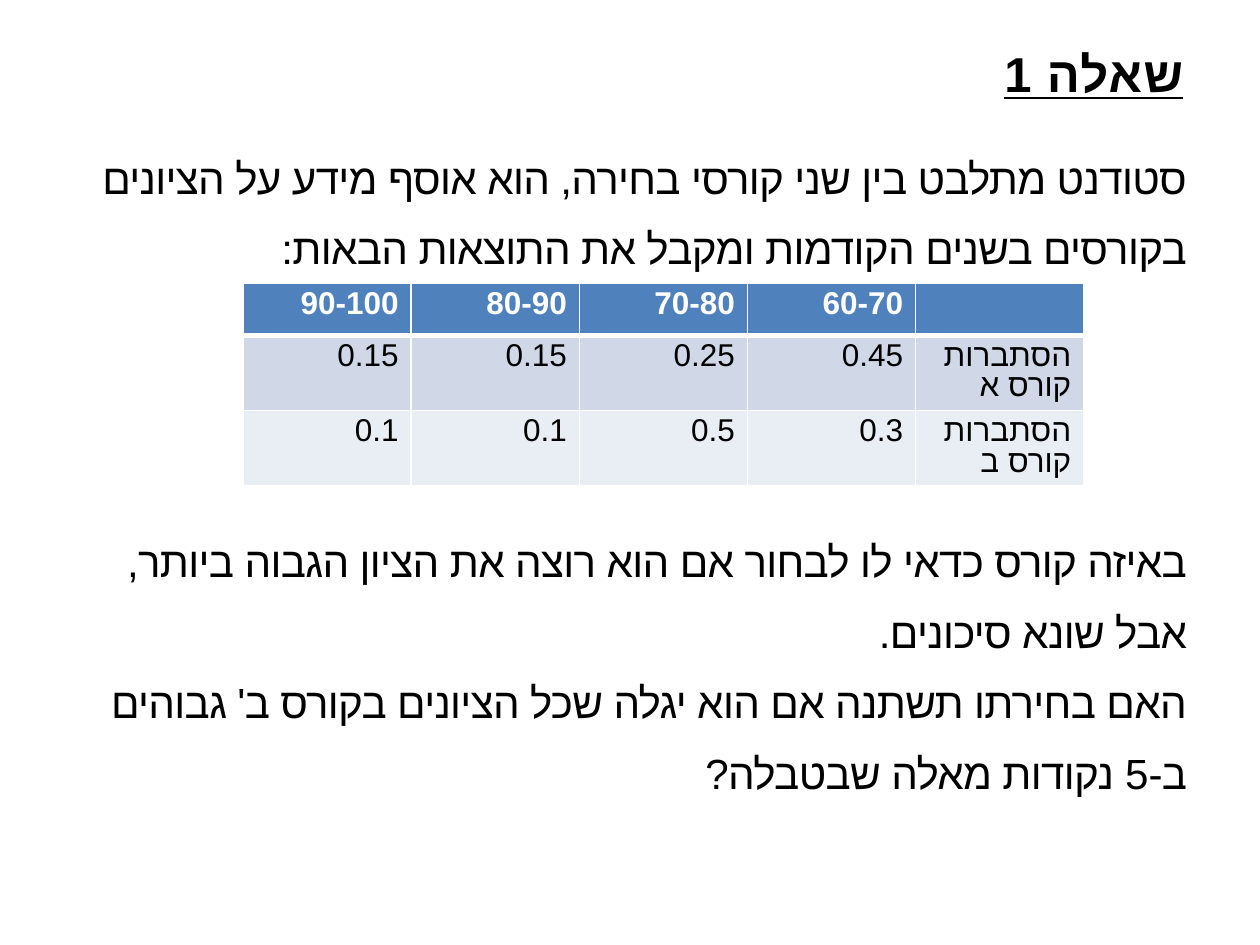
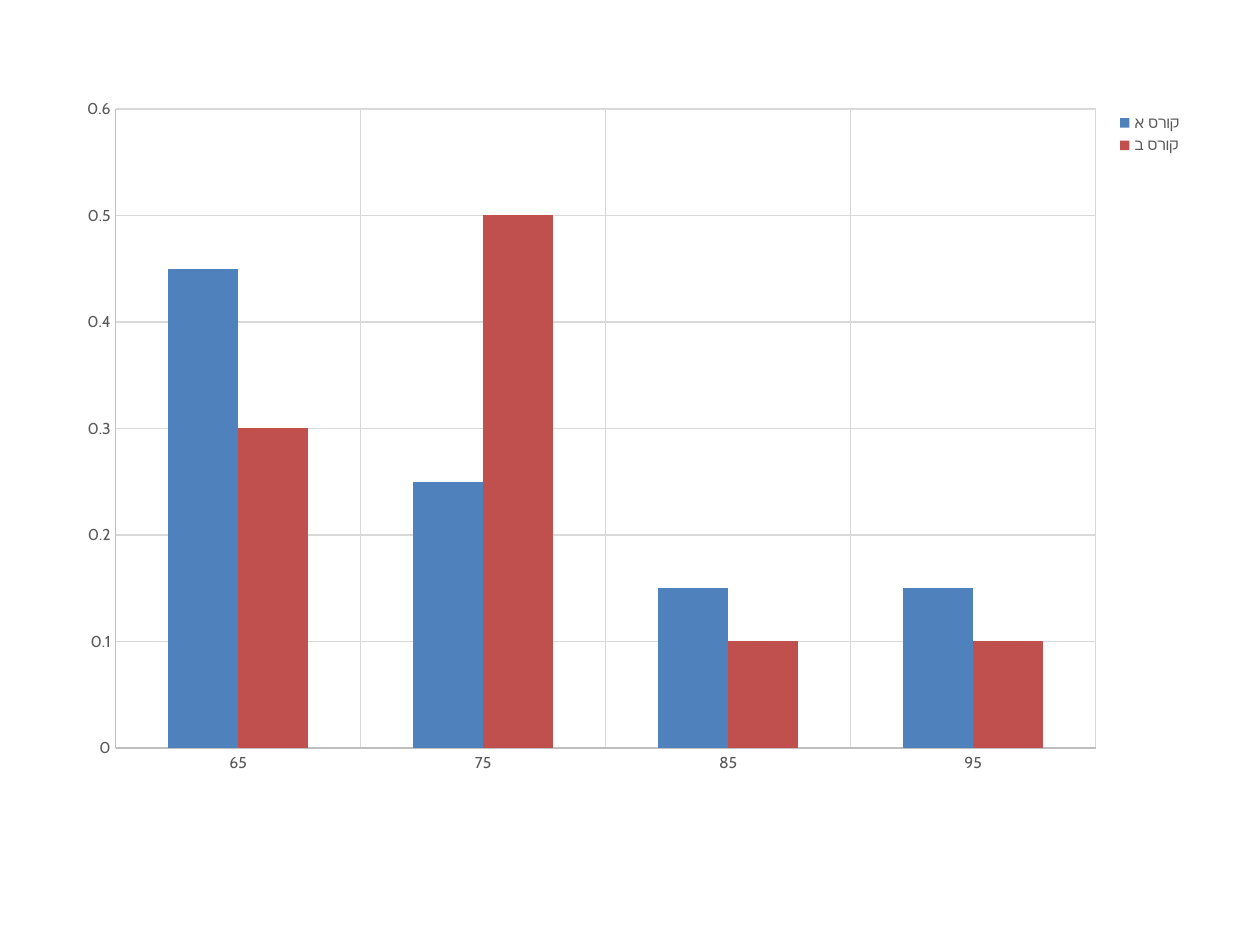
from dataclasses import dataclass

from lxml import etree
from pptx import Presentation
from pptx import util as u
from pptx.chart.data import CategoryChartData
from pptx.dml.color import RGBColor
from pptx.enum import chart as ch
from pptx.enum import text
from pptx.oxml.ns import qn

BLACK = RGBColor(0x00, 0x00, 0x00)
WHITE = RGBColor(0xFF, 0xFF, 0xFF)
BLUE = RGBColor(0x4F, 0x81, 0xBD)
RED = RGBColor(0xC0, 0x50, 0x4D)
BAND_DARK = RGBColor(0xD0, 0xD8, 0xE8)
BAND_LIGHT = RGBColor(0xE9, 0xED, 0xF4)
LABEL_GREY = RGBColor(0x59, 0x59, 0x59)
AXIS_GREY = RGBColor(0xBF, 0xBF, 0xBF)
GRID_GREY = RGBColor(0xD9, 0xD9, 0xD9)
LATIN_FONT, HEBREW_FONT = "Cabin", "Arial"


@dataclass(frozen=True)
class Style:
    size: float
    font: str = LATIN_FONT
    color: RGBColor = BLACK
    bold: bool = False
    underline: bool = False
    spacing: float = 1.0
    tracking: int = 0  # hundredths of a point


@dataclass(frozen=True)
class Box:
    left: float
    top: float
    width: float
    height: float

    def lengths(self) -> list[u.Length]:
        return [u.Cm(v) for v in (self.left, self.top, self.width, self.height)]


@dataclass(frozen=True)
class Course:
    name: str
    odds: tuple[float, ...]
    color: RGBColor
    band: RGBColor


TITLE = Style(28, bold=True, underline=True, tracking=85)
BODY = Style(24.1, font=HEBREW_FONT, spacing=1.4, tracking=-40)
HEADER = Style(18, color=WHITE, bold=True, spacing=0.87)
CELL = Style(18, spacing=0.87)

CHART_BOX = Box(1.3, 1.73, 22.86, 14.12)
PLOT_BOX = Box(2.33, 2.2, 19.76, 12.88)
LEGEND_BOX = Box(22.43, 2.18, 1.5, 1.05)

GRADES = ("60-70", "70-80", "80-90", "90-100")
MIDPOINTS = ("65", "75", "85", "95")
COURSES = (
    Course("קורס א", (0.45, 0.25, 0.15, 0.15), BLUE, BAND_DARK),
    Course("קורס ב", (0.3, 0.5, 0.1, 0.1), RED, BAND_LIGHT),
)
QUESTION = (
    "סטודנט מתלבט בין שני קורסי בחירה, הוא אוסף מידע על הציונים בקורסים"
    " בשנים הקודמות ומקבל את התוצאות הבאות:",
    "באיזה קורס כדאי לו לבחור אם הוא רוצה את הציון הגבוה ביותר, אבל שונא סיכונים.",
    "האם בחירתו תשתנה אם הוא יגלה שכל הציונים בקורס ב' גבוהים ב-5 נקודות מאלה שבטבלה?",
)
TABLE_GAP = 138  # points left free for the table below the first paragraph


def format_rtl(p, style: Style) -> None:
    """Right-to-left paragraph with Latin and Hebrew fonts."""
    p.alignment = text.PP_ALIGN.RIGHT
    p.line_spacing = style.spacing
    p._p.get_or_add_pPr().set("rtl", "1")
    for r in p.runs:
        f = r.font
        f.size, f.name = u.Pt(style.size), style.font
        f.bold, f.underline = style.bold, style.underline
        f.color.rgb = style.color
        rpr = r._r.get_or_add_rPr()
        if style.tracking:
            rpr.set("spc", str(style.tracking))
        cs = rpr.makeelement(qn("a:cs"), {"typeface": HEBREW_FONT})
        rpr.find(qn("a:latin")).addnext(cs)


def add_text(s, box: Box, lines: tuple[str, ...], style: Style):
    tf = s.shapes.add_textbox(*box.lengths()).text_frame
    tf.word_wrap = True
    tf.text = "\n".join(lines)
    for p in tf.paragraphs:
        format_rtl(p, style)
    return tf


def fill_cell(cell, value: str, style: Style, fill: RGBColor) -> None:
    cell.fill.solid()
    cell.fill.fore_color.rgb = fill
    cell.margin_bottom = 0
    cell.text_frame.text = value
    format_rtl(cell.text_frame.paragraphs[0], style)


def add_bottom_border(cell, color: RGBColor, points: float) -> None:
    tcpr = cell._tc.get_or_add_tcPr()
    ln = tcpr.makeelement(qn("a:lnB"), {"w": str(u.Pt(points))})
    solid = etree.SubElement(ln, qn("a:solidFill"))
    etree.SubElement(solid, qn("a:srgbClr"), val=str(color))
    tcpr.insert(0, ln)


def add_odds_table(s, box: Box) -> None:
    # Columns run from the highest grade on the left to the labels on the right
    rows = [(GRADES[::-1] + ("",), HEADER, BLUE)]
    for c in COURSES:
        values = tuple(str(v) for v in c.odds[::-1])
        rows.append((values + (f"הסתברות {c.name}",), CELL, c.band))
    table = s.shapes.add_table(len(rows), len(GRADES) + 1, *box.lengths()).table
    for row, height in zip(table.rows, (1.04, 1.52, 1.52)):
        row.height = u.Cm(height)
    for i, (values, style, fill) in enumerate(rows):
        for j, value in enumerate(values):
            fill_cell(table.cell(i, j), value, style, fill)
    for cell in table.rows[0].cells:
        add_bottom_border(cell, WHITE, 3)


def set_font(font, size: float, color: RGBColor) -> None:
    font.size, font.name, font.color.rgb = u.Pt(size), LATIN_FONT, color


def set_line(line, color: RGBColor) -> None:
    line.color.rgb, line.width = color, u.Pt(0.75)


def manual_layout(box: Box, inner: bool = False):
    """Layout element placing a chart part at a box given in slide centimetres."""
    layout = etree.Element(qn("c:layout"))
    manual = etree.SubElement(layout, qn("c:manualLayout"))
    entries = [("layoutTarget", "inner")] if inner else []
    entries += [
        ("xMode", "edge"),
        ("yMode", "edge"),
        ("x", (box.left - CHART_BOX.left) / CHART_BOX.width),
        ("y", (box.top - CHART_BOX.top) / CHART_BOX.height),
        ("w", box.width / CHART_BOX.width),
        ("h", box.height / CHART_BOX.height),
    ]
    for tag, value in entries:
        etree.SubElement(manual, qn(f"c:{tag}"), val=str(value))
    return layout


def add_odds_chart(s) -> None:
    data = CategoryChartData()
    data.categories = MIDPOINTS
    for c in COURSES:
        data.add_series(c.name, c.odds)
    kind = ch.XL_CHART_TYPE.COLUMN_CLUSTERED
    chart = s.shapes.add_chart(kind, *CHART_BOX.lengths(), data).chart
    set_font(chart.font, 10, BLACK)
    chart.has_title = False

    # Columns
    plot = chart.plots[0]
    plot.gap_width, plot.overlap, plot.vary_by_categories = 150, 0, False
    for series, c in zip(plot.series, COURSES):
        series.format.fill.solid()
        series.format.fill.fore_color.rgb = c.color

    # Axes and grid
    for axis in (chart.category_axis, chart.value_axis):
        axis.major_tick_mark = axis.minor_tick_mark = ch.XL_TICK_MARK.NONE
        axis.has_major_gridlines = True
        set_line(axis.format.line, AXIS_GREY)
        set_line(axis.major_gridlines.format.line, GRID_GREY)
        set_font(axis.tick_labels.font, 9, LABEL_GREY)
    value_axis = chart.value_axis
    value_axis.minimum_scale, value_axis.maximum_scale = 0, 0.6
    value_axis.major_unit = 0.1

    # Legend
    chart.has_legend = True
    legend = chart.legend
    legend.position = ch.XL_LEGEND_POSITION.RIGHT
    legend.include_in_layout = False
    set_font(legend.font, 9, LABEL_GREY)

    # Placement of the plot and the legend inside the chart
    area = chart._chartSpace.chart.plotArea
    for part in (area, legend._element):
        for old in part.findall(qn("c:layout")):
            part.remove(old)
    area.insert(0, manual_layout(PLOT_BOX, inner=True))
    legend._element.find(qn("c:legendPos")).addnext(manual_layout(LEGEND_BOX))


def main() -> None:
    prs = Presentation()
    prs.slide_width, prs.slide_height = u.Cm(25.4), u.Cm(19.05)
    blank = prs.slide_layouts[6]

    # Slide 1: the question and its table
    s = prs.slides.add_slide(blank)
    add_text(s, Box(1.27, 0.76, 22.86, 2.77), ("שאלה 1",), TITLE)
    tf = add_text(s, Box(1.32, 2.53, 22.86, 14.12), QUESTION, BODY)
    tf.paragraphs[1].space_before = u.Pt(TABLE_GAP)
    add_odds_table(s, Box(4.9, 5.72, 16.95, 4.08))

    # Slide 2: both courses side by side
    s = prs.slides.add_slide(blank)
    add_odds_chart(s)

    prs.save("out.pptx")


if __name__ == "__main__":
    main()
